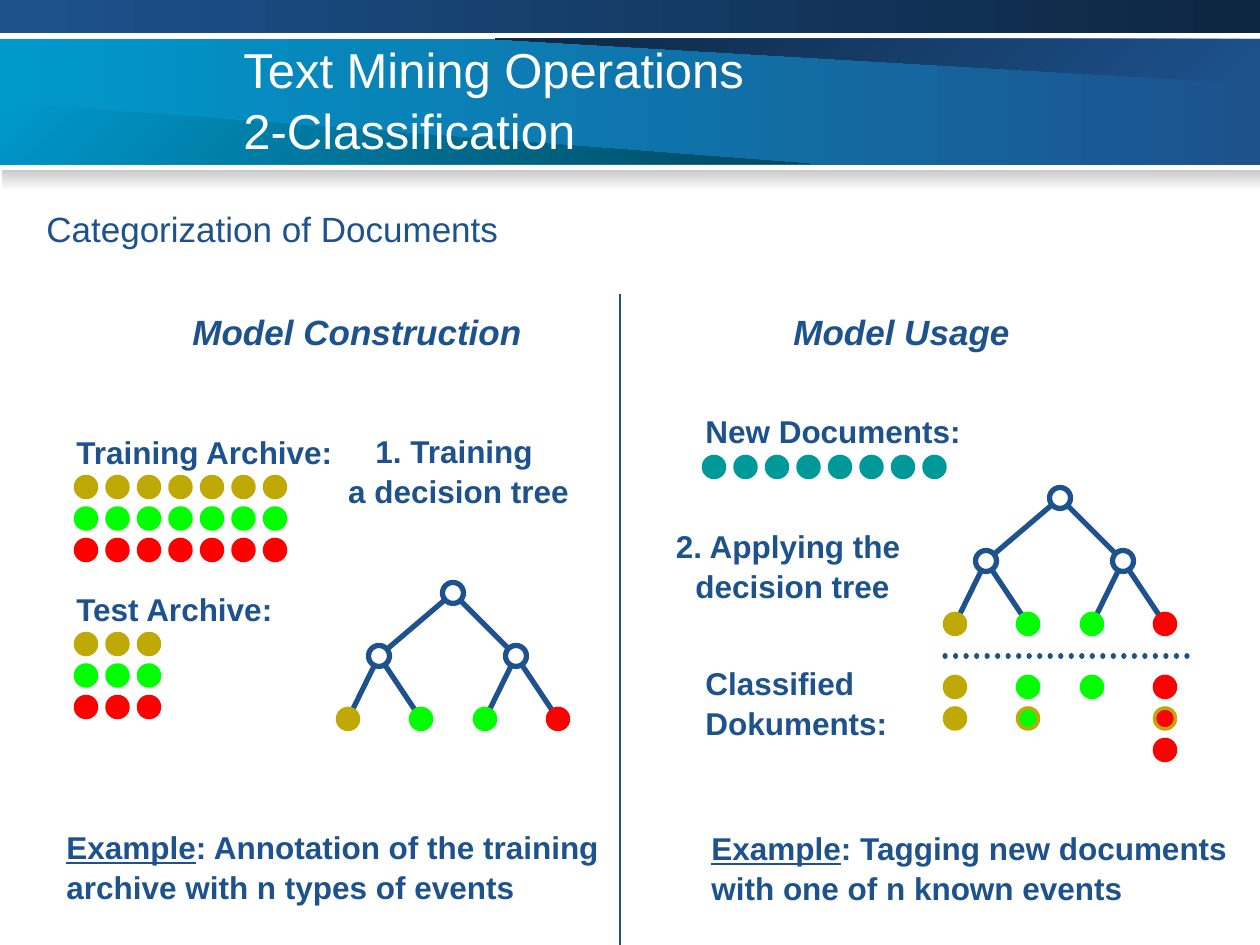
from lxml import etree
from pptx import Presentation, util as u
from pptx.dml.color import RGBColor
from pptx.enum import dml, shapes, text
from pptx.oxml.ns import qn

PX = 914400 / 126
NAVY = RGBColor(0x1D, 0x52, 0x8D)
DARK = RGBColor(0x0D, 0x26, 0x41)
SKY = RGBColor(0x00, 0x99, 0xCC)
DEEP = RGBColor(0x00, 0x47, 0x5E)
GREY = RGBColor(0xCA, 0xCA, 0xCA)
WHITE = RGBColor(0xFF, 0xFF, 0xFF)
GOLD = RGBColor(0xBF, 0xA9, 0x07)
GREEN = RGBColor(0x00, 0xFF, 0x00)
RED = RGBColor(0xFF, 0x00, 0x00)
TEAL = RGBColor(0x00, 0x99, 0x99)

# Content: text, then left, top, width, height
TITLE = ("Text Mining Operations\n2-Classification", (231, 38, 914, 120))
SUBTITLE = ("Categorization of Documents", (34, 199, 1200, 50))
HEADINGS = [("Model Construction", (180, 302, 400, 50)),
            ("Model Usage", (781, 302, 300, 50))]
LABELS = [("Training Archive:", (64, 425, 315, 50)),
          ("Test Archive:", (64, 582, 262, 50)),
          ("New Documents:", (693, 404, 514, 50)),
          ("Classified\nDokuments:", (693, 656, 305, 88))]
STEPS = [("1. Training \na decision tree", (306, 424, 305, 88)),
         ("2. Applying the \ndecision tree", (640, 519, 305, 88))]
EXAMPLES = [(": Annotation of the training archive with n types of events",
             (54, 820, 566, 88)),
            (": Tagging new documents with one of n known events",
             (699, 821, 576, 88))]

# Dot grids: centre of first dot, columns, row colours
GRIDS = [((86, 487), 7, (GOLD, GREEN, RED)),
         ((86, 644), 3, (GOLD, GREEN, RED)),
         ((714, 467), 8, (TEAL,))]
PITCH, DOT = 31.5, 21

# Decision tree, as offsets from its root
ROOTS = [(453, 593), (1060, 498)]
NODES = {"root": (0, 0), "left": (-74, 63), "right": (63, 63)}
LEAVES = [("left", -105, GOLD), ("left", -32, GREEN),
          ("right", 32, GREEN), ("right", 105, RED)]
LEAF_DEPTH = 126
# Classified documents under each leaf: (fill, outline)
CLASSIFIED = [[(GOLD, GOLD), (GOLD, GOLD)],
              [(GREEN, GREEN), (GREEN, GOLD)],
              [(GREEN, GREEN)],
              [(RED, RED), (RED, GOLD), (RED, RED)]]

# Header: box, gradient colours, angle
BARS = [((0, 39, 1261, 126), (SKY, NAVY), 0),
        ((0, 0, 1260, 33), (NAVY, DARK), 0),
        ((2, 170, 1258, 21), (GREY, WHITE), 270)]
WEDGES = [([(495, 39), (1260, 84), (1260, 39)], (NAVY, DARK), 135),
          ([(0, 102), (810, 164), (0, 164)], (SKY, DEEP), 315)]

deck = Presentation()
deck.slide_width, deck.slide_height = u.Inches(10), u.Inches(7.5)
slide = deck.slides.add_slide(deck.slide_layouts[6])


def emu(*lengths):
    return [round(length * PX) for length in lengths]


def shade(shape, colours, angle):
    shape.shadow.inherit = False
    shape.line.fill.background()
    shape.fill.gradient()
    shape.fill.gradient_angle = angle
    for stop, colour in zip(shape.fill.gradient_stops, colours):
        stop.color.rgb = colour


def write(words, box, size=18, colour=NAVY, bold=False, italic=False,
          align=text.PP_ALIGN.LEFT, anchor=text.MSO_ANCHOR.TOP, underlined=""):
    frame = slide.shapes.add_textbox(*emu(*box)).text_frame
    frame.word_wrap = True
    frame.vertical_anchor = anchor
    para = frame.paragraphs[0]
    para.alignment = align
    para.line_spacing = 1.05
    for i, line in enumerate(words.split("\n")):
        if i:
            para.add_line_break()
        for part in (underlined, line):
            if part:
                run = para.add_run()
                run.text = part
                font = run.font
                font.name, font.size, font.color.rgb = "Arial", u.Pt(size), colour
                font.bold, font.italic = bold, italic
                font.underline = part == underlined


def circle(x, y, fill, outline, weight=2):
    dot = slide.shapes.add_shape(shapes.MSO_SHAPE.OVAL,
                                 *emu(x - DOT / 2, y - DOT / 2, DOT, DOT))
    dot.shadow.inherit = False
    dot.fill.solid()
    dot.fill.fore_color.rgb = fill
    dot.line.color.rgb = outline
    dot.line.width = u.Pt(weight)


def connect(start, end, weight=3):
    link = slide.shapes.add_connector(shapes.MSO_CONNECTOR.STRAIGHT,
                                      *emu(*start, *end))
    link.line.color.rgb = NAVY
    link.line.width = u.Pt(weight)
    etree.SubElement(link._element.spPr, qn("a:effectLst"))
    return link


def tree(x, y):
    at = {name: (x + dx, y + dy) for name, (dx, dy) in NODES.items()}
    for child in ("left", "right"):
        connect(at["root"], at[child])
    for parent, dx, _ in LEAVES:
        connect(at[parent], (x + dx, y + LEAF_DEPTH))
    for centre in at.values():
        circle(*centre, WHITE, NAVY, 3)
    for _, dx, colour in LEAVES:
        circle(x + dx, y + LEAF_DEPTH, colour, colour)


# Header: title band with its wedges, top bar, soft shadow
for n, (box, colours, angle) in enumerate(BARS):
    shade(slide.shapes.add_shape(shapes.MSO_SHAPE.RECTANGLE, *emu(*box)),
          colours, angle)
    if n == 0:
        for corners, tones, slant in WEDGES:
            outline = slide.shapes.build_freeform(*corners[0], scale=PX)
            outline.add_line_segments(corners[1:], close=True)
            shade(outline.convert_to_shape(), tones, slant)

# Text
write(*TITLE, size=28, colour=WHITE, anchor=text.MSO_ANCHOR.MIDDLE)
write(*SUBTITLE, size=20)
for heading in HEADINGS:
    write(*heading, size=20, bold=True, italic=True)
for label in LABELS:
    write(*label, bold=True)
for step in STEPS:
    write(*step, bold=True, align=text.PP_ALIGN.CENTER)
for example in EXAMPLES:
    write(*example, bold=True, underlined="Example")

# Document archives
for (x, y), columns, rows in GRIDS:
    for r, colour in enumerate(rows):
        for c in range(columns):
            circle(x + c * PITCH, y + r * PITCH, colour, colour)

# Decision trees and the documents sorted by the second one
for root in ROOTS:
    tree(*root)
root_x, root_y = ROOTS[1]
for (_, dx, _), documents in zip(LEAVES, CLASSIFIED):
    for r, (fill, outline) in enumerate(documents):
        circle(root_x + dx, root_y + LEAF_DEPTH + (r + 2) * PITCH, fill, outline)

# Dividers
dotted = connect((1187, 656), (935, 656))
dotted.line.dash_style = dml.MSO_LINE.ROUND_DOT
dotted.line._ln.set("cap", "rnd")
connect((620, 294), (620, 945), 0.75)

deck.save("out.pptx")
